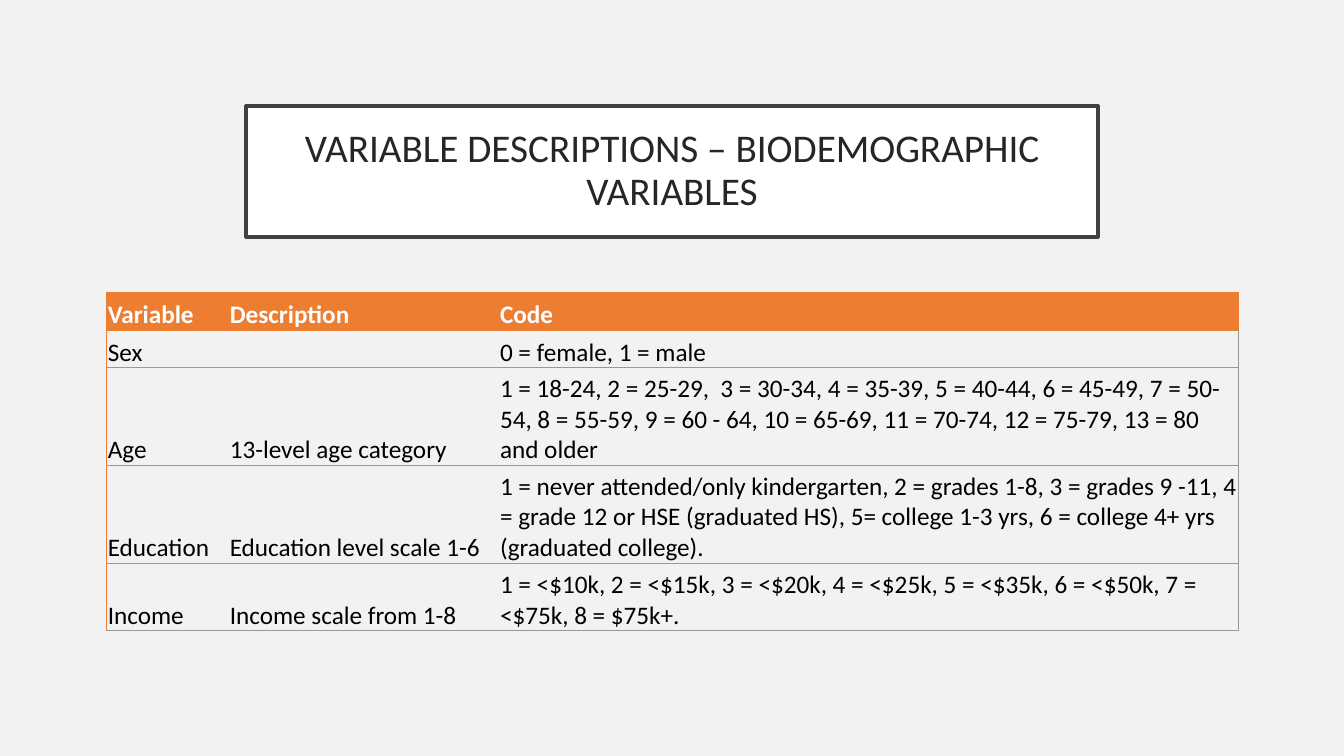
import dataclasses
from typing import Optional

import pptx
import pptx.dml.color
import pptx.enum.shapes
import pptx.enum.text
import pptx.oxml.ns
import pptx.table
import pptx.util
from lxml import etree

Inches = pptx.util.Inches
Pt = pptx.util.Pt
RGBColor = pptx.dml.color.RGBColor

FONT = "Calibri"
BACKGROUND = RGBColor(0xF2, 0xF2, 0xF2)
WHITE = RGBColor(0xFF, 0xFF, 0xFF)
BLACK = RGBColor(0, 0, 0)
FRAME = RGBColor(0x40, 0x40, 0x40)
TITLE_INK = RGBColor(0x26, 0x26, 0x26)
ORANGE = RGBColor(0xED, 0x7D, 0x31)
GRID = RGBColor(0x99, 0x99, 0x99)

COLUMN_WIDTHS = (1.21, 2.68, 7.33)


@dataclasses.dataclass(frozen=True)
class VariableRow:
    variable: str
    description: str
    code: str
    height: float
    header: bool = False


ROWS = (
    VariableRow("Variable", "Description", "Code", 0.38, header=True),
    VariableRow("Sex", "", "0 = female, 1 = male", 0.37),
    VariableRow(
        "Age", "13-level age category",
        "1 = 18-24, 2 = 25-29,  3 = 30-34, 4 = 35-39, 5 = 40-44, 6 = 45-49, 7 = 50-54, "
        "8 = 55-59, 9 = 60 - 64, 10 = 65-69, 11 = 70-74, 12 = 75-79, 13 = 80 and older",
        0.97),
    VariableRow(
        "Education", "Education level scale 1-6",
        "1 = never attended/only kindergarten, 2 = grades 1-8, 3 = grades 9 -11, "
        "4 = grade 12 or HSE (graduated HS), 5= college 1-3 yrs, "
        "6 = college 4+ yrs (graduated college).",
        0.97),
    VariableRow(
        "Income", "Income scale from 1-8",
        "1 = <$10k, 2 = <$15k, 3 = <$20k, 4 = <$25k, 5 = <$35k, 6 = <$50k, "
        "7 = <$75k, 8 = $75k+.",
        0.67),
)


def add_run(paragraph, text: str, size: float, color: RGBColor, bold: bool = False) -> None:
    run = paragraph.add_run()
    run.text = text
    run.font.name = FONT
    run.font.size = Pt(size)
    run.font.bold = bold
    run.font.color.rgb = color


def set_borders(cell: pptx.table._Cell, left: Optional[RGBColor], right: Optional[RGBColor],
                top: Optional[RGBColor], bottom: Optional[RGBColor]) -> None:
    """Draw the four cell borders; None leaves a side without a line."""
    qn = pptx.oxml.ns.qn
    properties = cell._tc.get_or_add_tcPr()
    sides = (("a:lnL", left), ("a:lnR", right), ("a:lnT", top), ("a:lnB", bottom))
    for position, (tag, color) in enumerate(sides):
        line = etree.Element(qn(tag), w=str(Pt(0.75)))
        if color is None:
            etree.SubElement(line, qn("a:noFill"))
        else:
            fill = etree.SubElement(line, qn("a:solidFill"))
            etree.SubElement(fill, qn("a:srgbClr"), val=str(color))
        properties.insert(position, line)


def add_title(slide) -> None:
    title = slide.shapes.add_shape(pptx.enum.shapes.MSO_SHAPE.RECTANGLE,
                                   Inches(2.44), Inches(1.05), Inches(8.45), Inches(1.3))
    title.shadow.inherit = False
    title.fill.solid()
    title.fill.fore_color.rgb = WHITE
    title.line.color.rgb = FRAME
    title.line.width = Pt(2.5)
    frame = title.text_frame
    frame.word_wrap = True
    frame.vertical_anchor = pptx.enum.text.MSO_ANCHOR.MIDDLE
    frame.margin_left = frame.margin_right = Inches(0.2)
    frame.margin_top = frame.margin_bottom = Inches(0.2)
    heading = frame.paragraphs[0]
    heading.alignment = pptx.enum.text.PP_ALIGN.CENTER
    heading.line_spacing = 0.9
    add_run(heading, "VARIABLE DESCRIPTIONS – BIODEMOGRAPHIC VARIABLES", 28, TITLE_INK)


def fill_cell(cell: pptx.table._Cell, text: str, header: bool) -> None:
    cell.margin_left = cell.margin_right = cell.margin_top = Inches(0.01)
    cell.margin_bottom = 0
    cell.vertical_anchor = pptx.enum.text.MSO_ANCHOR.BOTTOM
    if header:
        cell.fill.solid()
        cell.fill.fore_color.rgb = ORANGE
    else:
        cell.fill.background()
    paragraph = cell.text_frame.paragraphs[0]
    if text:
        add_run(paragraph, text, 18, WHITE if header else BLACK, header)
    else:
        paragraph.font.size = Pt(18)


def add_variable_table(slide) -> None:
    table = slide.shapes.add_table(
        len(ROWS), len(COLUMN_WIDTHS), Inches(1.06), Inches(2.9),
        Inches(sum(COLUMN_WIDTHS)), Inches(sum(row.height for row in ROWS))).table
    table.first_row = False
    table.horz_banding = False
    for column, width in zip(table.columns, COLUMN_WIDTHS):
        column.width = Inches(width)
    last = len(COLUMN_WIDTHS) - 1
    for r, row in enumerate(ROWS):
        table.rows[r].height = Inches(row.height)
        edge = ORANGE if row.header else GRID
        top = ORANGE if r <= 1 else GRID
        for c, text in enumerate((row.variable, row.description, row.code)):
            cell = table.cell(r, c)
            fill_cell(cell, text, row.header)
            set_borders(cell, left=ORANGE if c == 0 else None,
                        right=edge if c == last else None, top=top, bottom=edge)


def main() -> None:
    deck = pptx.Presentation()
    deck.slide_width = Inches(13.33)
    deck.slide_height = Inches(7.5)
    slide = deck.slides.add_slide(deck.slide_layouts[6])
    slide.background.fill.solid()
    slide.background.fill.fore_color.rgb = BACKGROUND
    add_title(slide)
    add_variable_table(slide)
    deck.save("out.pptx")


if __name__ == "__main__":
    main()
